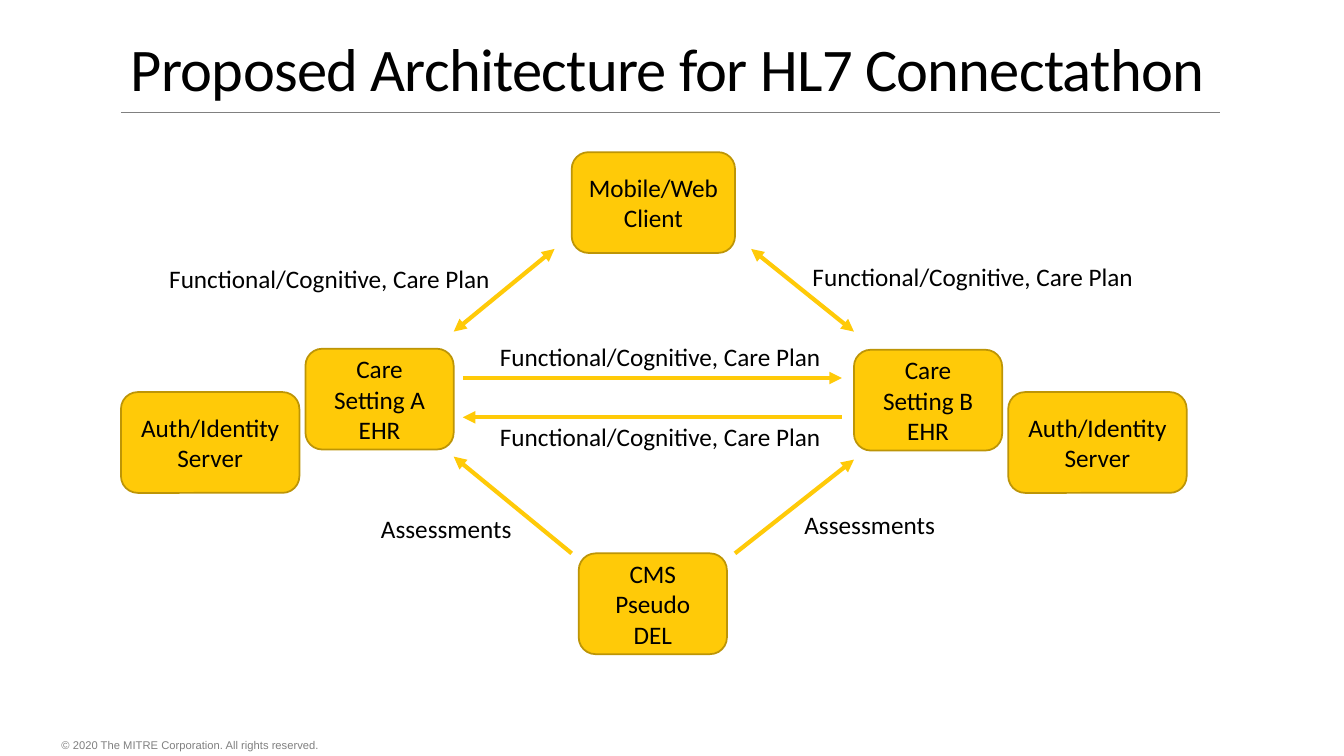
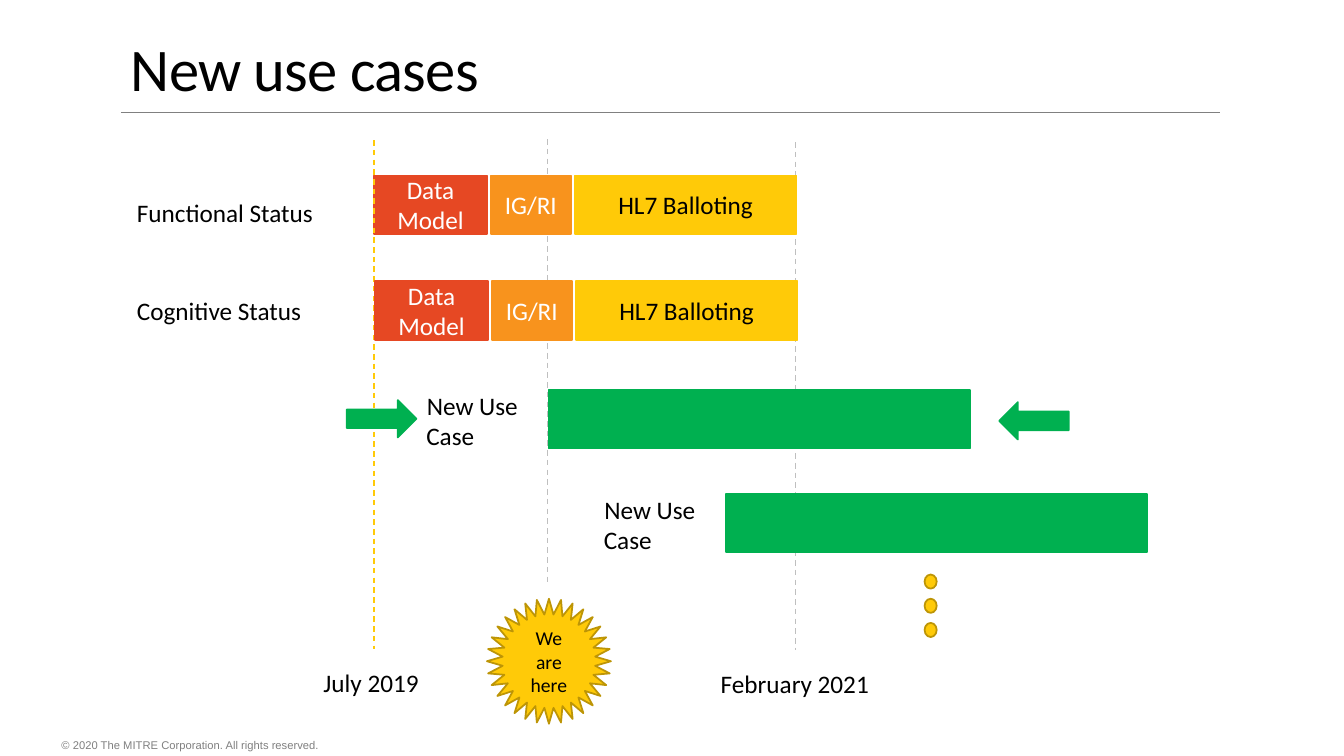
from lxml import etree
from pptx import Presentation
from pptx import util as u
from pptx.dml import color
from pptx.enum import dml, shapes, text
from pptx.oxml import ns

BLACK, WHITE, GREY, PALE = "000000", "FFFFFF", "808080", "BFBFBF"
GOLD, GOLD_EDGE = "FFCA08", "BD9506"
RED, ORANGE, GREEN = "E64823", "F8931D", "00B050"
BODY_FONT = "Calibri"
SHAPE = shapes.MSO_SHAPE
CENTER = text.PP_ALIGN.CENTER
MIDDLE = text.MSO_ANCHOR.MIDDLE


def rgb(value):
    return color.RGBColor.from_string(value)


def inches(*lengths):
    return [u.Inches(length) for length in lengths]


def style_text(frame, size, ink, font=BODY_FONT):
    for para in frame.paragraphs:
        for span in para.runs:
            span.font.size = u.Pt(size)
            span.font.name = font
            span.font.color.rgb = rgb(ink)


# Kinds of element
def add_text(page, words, at, size=18, ink=BLACK, font=BODY_FONT):
    box = page.shapes.add_textbox(*inches(*at))
    box.text_frame.word_wrap = True
    box.text_frame.text = words
    style_text(box.text_frame, size, ink, font)
    return box


def add_label(page, words, left, top, width, height=0.4):
    box = add_text(page, words, (left, top, width, height))
    box.text_frame.word_wrap = False
    box.text_frame.auto_size = text.MSO_AUTO_SIZE.SHAPE_TO_FIT_TEXT
    return box


def add_block(page, kind, at, fill=GOLD, edge=None, words="", size=18, ink=BLACK):
    block = page.shapes.add_shape(kind, *inches(*at))
    block.shadow.inherit = False
    block.fill.solid()
    block.fill.fore_color.rgb = rgb(fill)
    block.line.color.rgb = rgb(edge or fill)
    block.line.width = u.Pt(1.25)
    if words:
        frame = block.text_frame
        frame.text = words
        frame.word_wrap = True
        frame.vertical_anchor = MIDDLE
        frame.paragraphs[0].alignment = CENTER
        style_text(frame, size, ink)
    return block


def add_line(page, start, end, ink, width, dashed=False, arrows=()):
    line = page.shapes.add_connector(
        shapes.MSO_CONNECTOR.STRAIGHT, *inches(*start, *end))
    line.line.color.rgb = rgb(ink)
    line.line.width = u.Pt(width)
    if dashed:
        line.line.dash_style = dml.MSO_LINE.DASH
    outline = line.line._get_or_add_ln()
    for side in arrows:
        etree.SubElement(outline, ns.qn(f"a:{side}"), type="triangle")
    etree.SubElement(line._element.spPr, ns.qn("a:effectLst"))
    return line


# Shared by both slides
def add_page(deck, title):
    page = deck.slides.add_slide(deck.slide_layouts[6])
    add_line(page, (1.2, 1.11), (12.1, 1.11), GREY, 0.5)

    footer = add_text(page, "© 2020 The MITRE Corporation. All rights reserved.",
                      (0.61, 7.28, 8.24, 0.22), 8, GREY, "Arial").text_frame
    footer.vertical_anchor = MIDDLE
    footer.margin_left = footer.margin_right = 0
    footer.margin_top = footer.margin_bottom = 0

    heading = add_text(page, title, (1.2, 0.31, 11, 0.77), 43.2).text_frame
    heading.vertical_anchor = text.MSO_ANCHOR.BOTTOM
    para = heading.paragraphs[0]
    para.line_spacing = 0.85
    para.runs[0].font._element.set("spc", "-50")
    return page


def build_architecture(deck):
    page = add_page(deck, "Proposed Architecture for HL7 Connectathon")

    # Systems
    for words, left, top, width in (
            ("Care Setting A EHR", 3.03, 3.46, 1.47),
            ("Care Setting B EHR", 8.47, 3.47, 1.47),
            ("CMS Pseudo DEL", 5.74, 5.49, 1.47),
            ("Mobile/Web Client", 5.67, 1.51, 1.62),
            ("Auth/Identity Server", 1.2, 3.89, 1.77),
            ("Auth/Identity Server", 10, 3.89, 1.77)):
        add_block(page, SHAPE.ROUNDED_RECTANGLE, (left, top, width, 1),
                  edge=GOLD_EDGE, words=words)

    # Data flows
    one_way, two_way = ("tailEnd",), ("headEnd", "tailEnd")
    for start, end, arrows in (
            ((4.59, 3.75), (8.35, 3.75), one_way),
            ((8.35, 4.14), (4.59, 4.14), one_way),
            ((5.67, 5.49), (4.5, 4.53), one_way),
            ((7.29, 5.49), (8.47, 4.56), one_way),
            ((4.5, 3.29), (5.5, 2.47), two_way),
            ((7.45, 2.47), (8.47, 3.29), two_way)):
        add_line(page, start, end, GOLD, 3, arrows=arrows)

    # Flow labels
    for left, top in ((4.86, 3.34), (4.86, 4.13), (7.96, 2.54), (1.58, 2.56)):
        add_label(page, "Functional/Cognitive, Care Plan", left, top, 3.42)
    for left, top in ((7.88, 5), (3.68, 5.04)):
        add_label(page, "Assessments", left, top, 1.51)


def add_stages(page, left, top):
    for words, width, fill, ink in (("Data Model", 1.12, RED, WHITE),
                                    ("IG/RI", 0.79, ORANGE, WHITE),
                                    ("HL7 Balloting", 2.2, GOLD, BLACK)):
        add_block(page, SHAPE.RECTANGLE, (left, top, width, 0.58), fill,
                  words=words, ink=ink)
        left += width + 0.04


def add_new_use_case(page, left, top):
    add_block(page, SHAPE.RECTANGLE, (left, top, 4.18, 0.58), GREEN)
    label = add_label(page, "New Use\nCase", left - 1.31, top - 0.05, 1.11, 0.71)
    label.text_frame.paragraphs[0].alignment = CENTER


def build_use_cases(deck):
    page = add_page(deck, "New use cases")

    # Bars and date lines, from back to front
    add_line(page, (7.89, 1.41), (7.89, 6.45), PALE, 1, dashed=True)
    add_new_use_case(page, 5.44, 3.87)
    add_new_use_case(page, 7.2, 4.9)
    add_line(page, (5.43, 1.38), (5.43, 5.77), PALE, 1, dashed=True)
    add_stages(page, 3.71, 1.74)
    add_line(page, (3.71, 1.39), (3.71, 6.44), GOLD, 1, dashed=True)
    add_stages(page, 3.72, 2.79)

    # Row names and dates
    for words, left, top, width in (("Functional Status", 1.26, 1.91, 1.97),
                                    ("Cognitive Status", 1.26, 2.88, 1.85),
                                    ("July 2019", 3.11, 6.57, 1.16),
                                    ("February 2021", 7.05, 6.58, 1.69)):
        add_label(page, words, left, top, width)

    # Arrows, continuation dots and present date
    for left, top, turn in ((3.44, 3.97, 0), (9.91, 3.99, 180)):
        arrow = add_block(page, SHAPE.RIGHT_ARROW, (left, top, 0.69, 0.37), GREEN)
        arrow.rotation = turn
    for step in range(3):
        add_block(page, SHAPE.OVAL, (9.17, 5.7 + 0.24 * step, 0.12, 0.14),
                  edge=GOLD_EDGE)
    add_block(page, SHAPE.STAR_32_POINT, (4.83, 5.94, 1.23, 1.24),
              edge=GOLD_EDGE, words="We are here", size=14)


def main():
    deck = Presentation()
    deck.slide_width, deck.slide_height = inches(13.33, 7.5)
    build_architecture(deck)
    build_use_cases(deck)
    deck.save("out.pptx")


if __name__ == "__main__":
    main()
